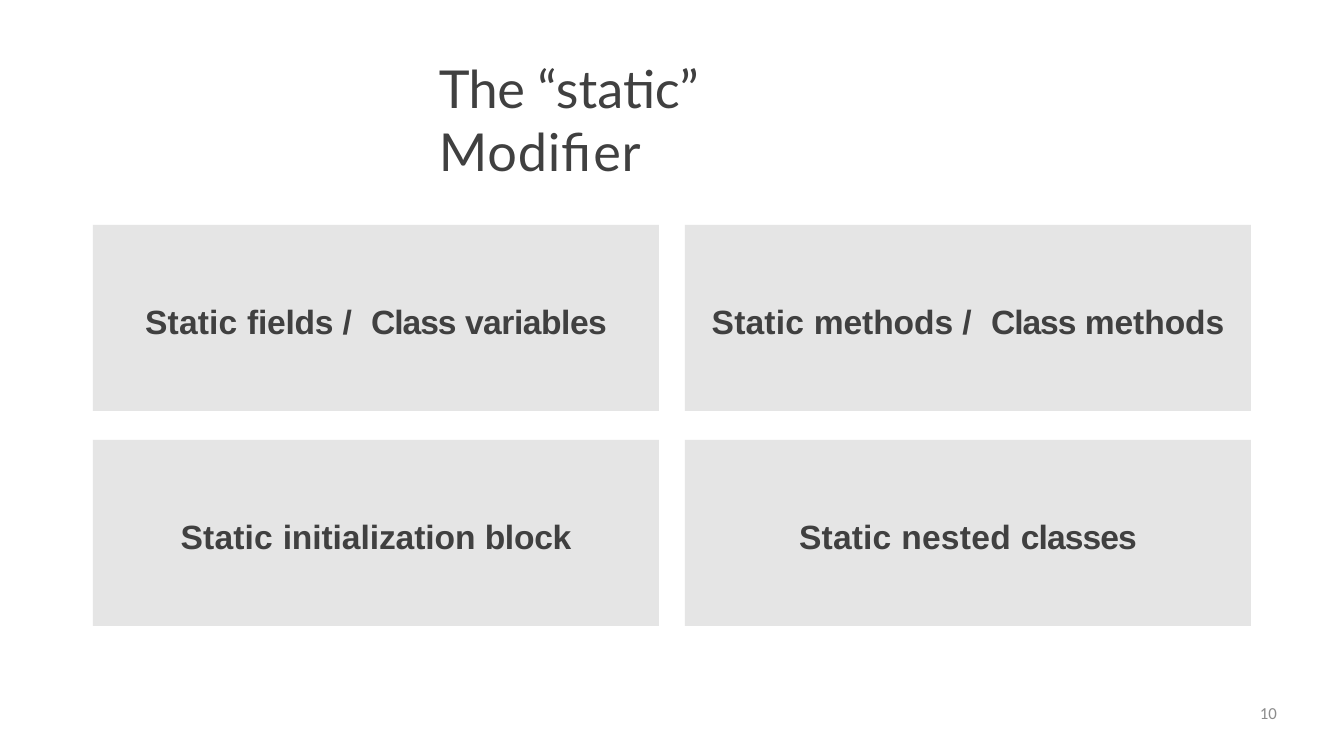
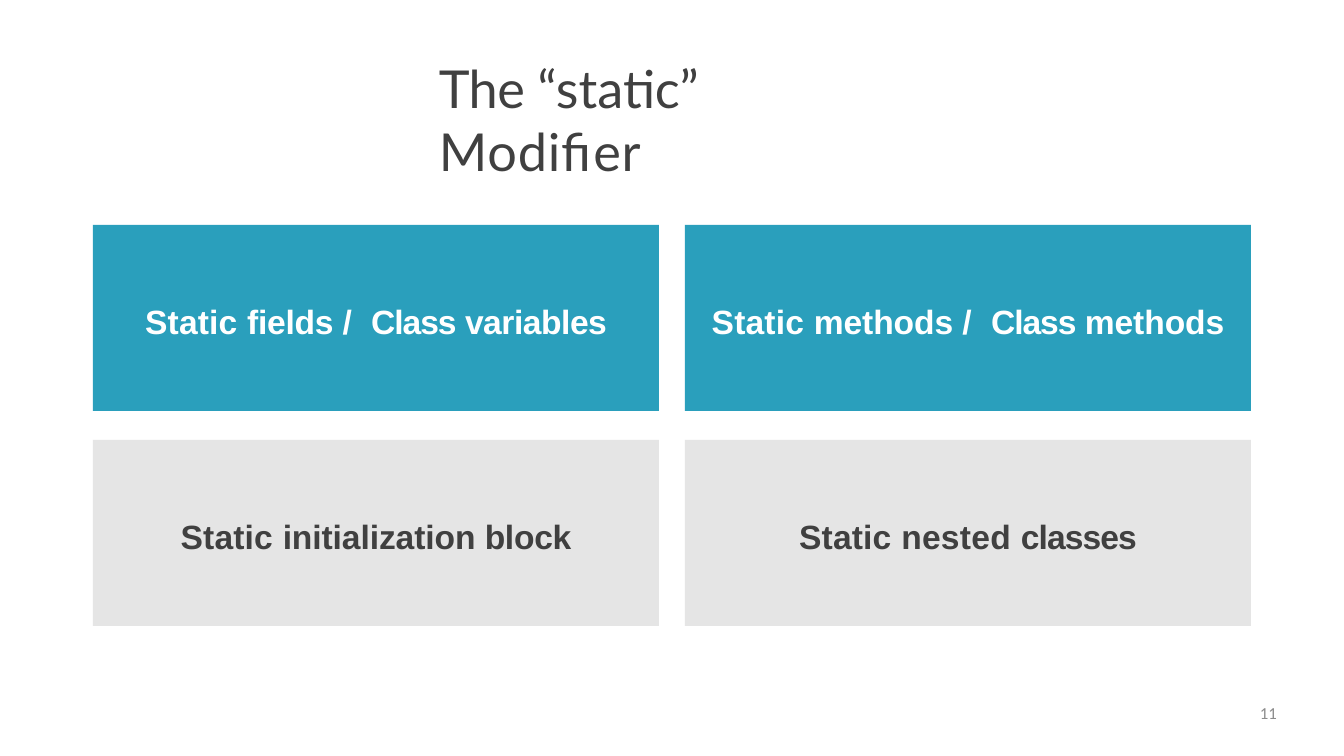
"""Build two slides on the uses of the static modifier."""
from pptx import Presentation
from pptx.dml.color import RGBColor
from pptx.enum.shapes import MSO_SHAPE as Shape
from pptx.enum.text import MSO_ANCHOR as Anchor, PP_ALIGN as Align
from pptx.util import Pt

COLORS = {
    "text": "404040",
    "number": "8C8C8C",
    "plain": "E5E5E5",
    "active": "2A9FBC",
    "white": "FFFFFF",
}
TITLE = [("The ", -0.7), ("“static” ", 0.1), ("Modifier", 0.8)]
STATIC = ("Static ", 0.2)
SLASH_CLASS = [("/ ", 5.3), ("Class ", -1.1)]
TOPICS = [
    [STATIC, ("fields ", -0.3), *SLASH_CLASS, ("variables", -0.5)],
    [STATIC, ("methods ", -0.1), *SLASH_CLASS, ("methods", -0.1)],
    [STATIC, ("initialization ", -0.1), ("block", -0.3)],
    [STATIC, ("nested ", 0.3), ("classes", -1)],
]
SLIDES = [
    {"number": "10", "active": ()},
    {"number": "11", "active": (0, 1)},
]

TITLE_FONT = {"name": "Lato", "size": Pt(56)}
TOPIC_FONT = {"name": "Arial", "size": Pt(36), "bold": True}
NUMBER_FONT = {"name": "Calibri", "size": Pt(18)}

SLIDE_WIDTH, SLIDE_HEIGHT = 1344, 756
TITLE_BOX = (439, 55, 467, 64)
NUMBER_BOX = (968, 703, 309, 38)
GRID_LEFT, GRID_TOP, COLUMNS = 93, 225, 2
CARD_WIDTH, CARD_HEIGHT = 566, 186
COLUMN_GAP, ROW_GAP = 26, 29
CARD_INSET = 6
EMU_PER_PX = 914400 / 67.2


def px(length):
    """Turn pixels into EMU."""
    return round(length * EMU_PER_PX)


def color(name):
    """Look up a named colour."""
    return RGBColor.from_string(COLORS[name])


def write(shape, runs, font, color_name, align=Align.LEFT, anchor=Anchor.TOP, top=0):
    """Fill a shape with one paragraph of letter-spaced runs."""
    frame = shape.text_frame
    settings = {
        "word_wrap": True,
        "vertical_anchor": anchor,
        "margin_left": 0,
        "margin_right": 0,
        "margin_top": px(top),
        "margin_bottom": 0,
    }
    for name, value in settings.items():
        setattr(frame, name, value)
    paragraph = frame.paragraphs[0]
    paragraph.alignment = align
    for text, spacing in runs:
        run = paragraph.add_run()
        run.text = text
        for name, value in font.items():
            setattr(run.font, name, value)
        run.font.color.rgb = color(color_name)
        if spacing:
            run.font._element.set("spc", str(round(spacing * 100)))


def add_text(slide, box, *args, **options):
    """Add a text box."""
    write(slide.shapes.add_textbox(*map(px, box)), *args, **options)


def add_card(slide, index, runs, active):
    """Add one topic card at its place in the grid."""
    row, column = divmod(index, COLUMNS)
    left = GRID_LEFT + column * (CARD_WIDTH + COLUMN_GAP)
    top = GRID_TOP + row * (CARD_HEIGHT + ROW_GAP)
    box = (left, top, CARD_WIDTH, CARD_HEIGHT)
    card = slide.shapes.add_shape(Shape.RECTANGLE, *map(px, box))
    card.shadow.inherit = False
    card.fill.solid()
    card.fill.fore_color.rgb = color("active" if active else "plain")
    card.line.fill.background()
    write(card, runs, TOPIC_FONT, "white" if active else "text",
          align=Align.CENTER, anchor=Anchor.MIDDLE, top=CARD_INSET)


def main():
    """Build and save the presentation."""
    presentation = Presentation()
    presentation.slide_width = px(SLIDE_WIDTH)
    presentation.slide_height = px(SLIDE_HEIGHT)
    for content in SLIDES:
        slide = presentation.slides.add_slide(presentation.slide_layouts[6])
        add_text(slide, TITLE_BOX, TITLE, TITLE_FONT, "text", top=1)
        for index, runs in enumerate(TOPICS):
            add_card(slide, index, runs, index in content["active"])
        add_text(slide, NUMBER_BOX, [(content["number"], 0)], NUMBER_FONT, "number",
                 align=Align.RIGHT)
    presentation.save("out.pptx")


if __name__ == "__main__":
    main()
